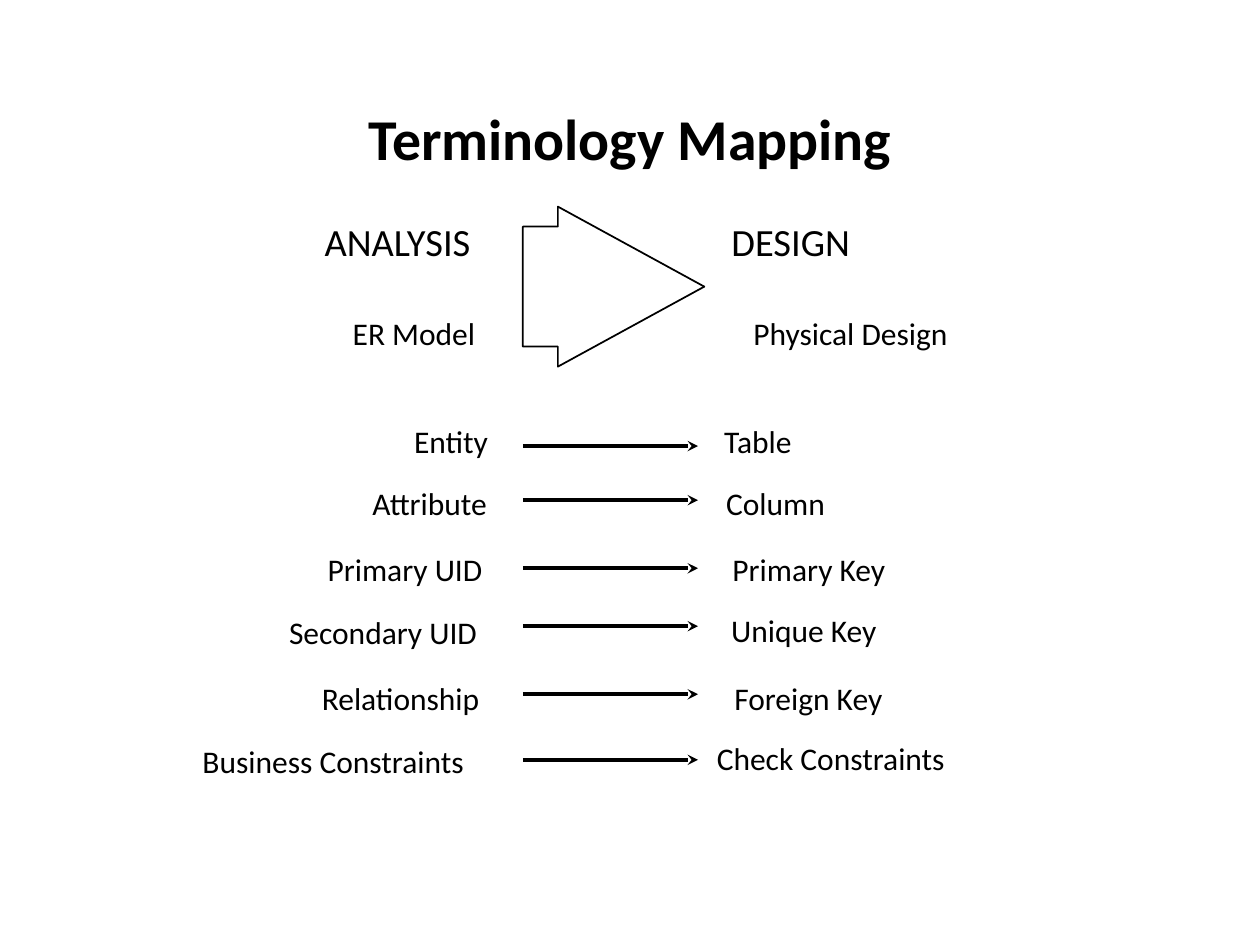
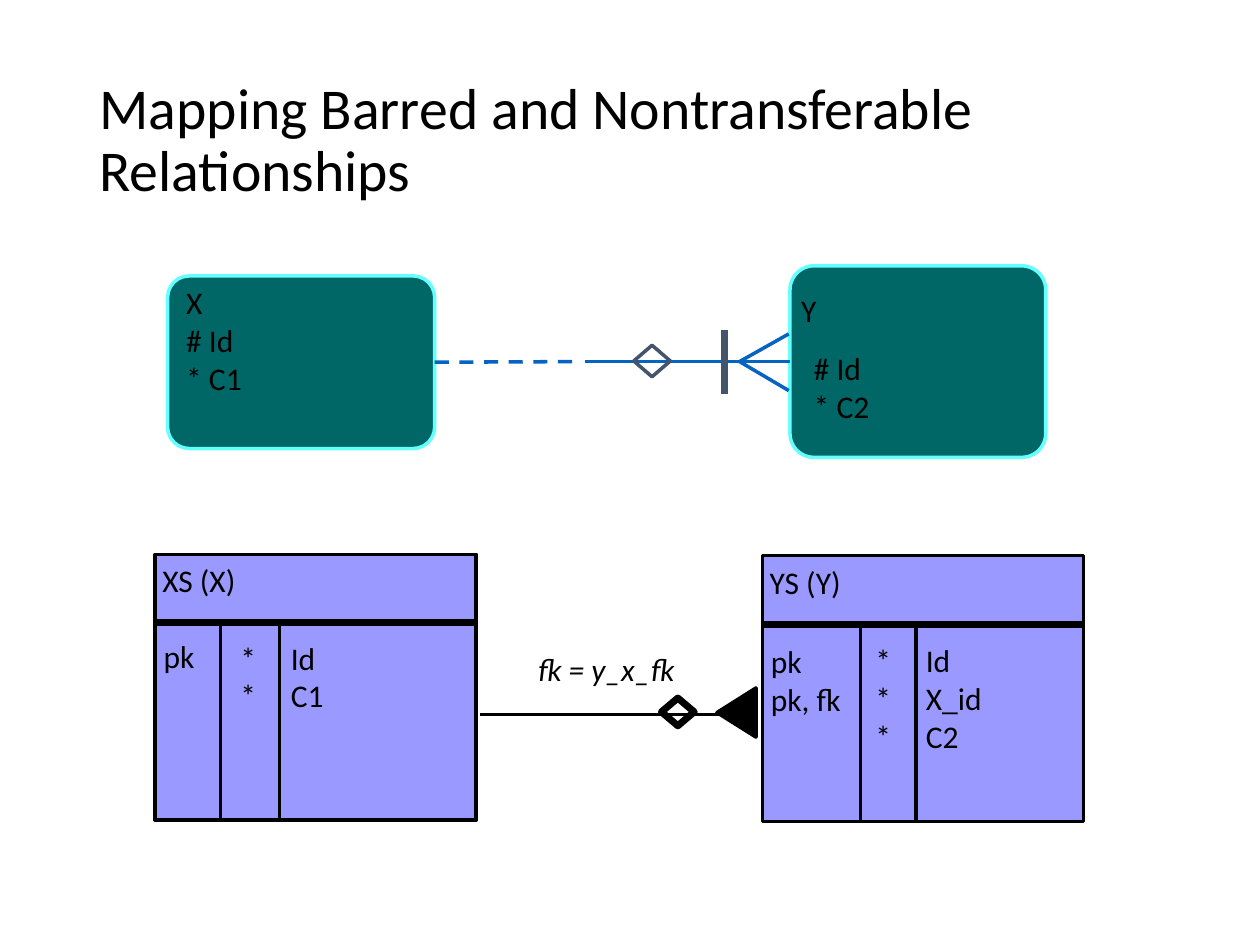
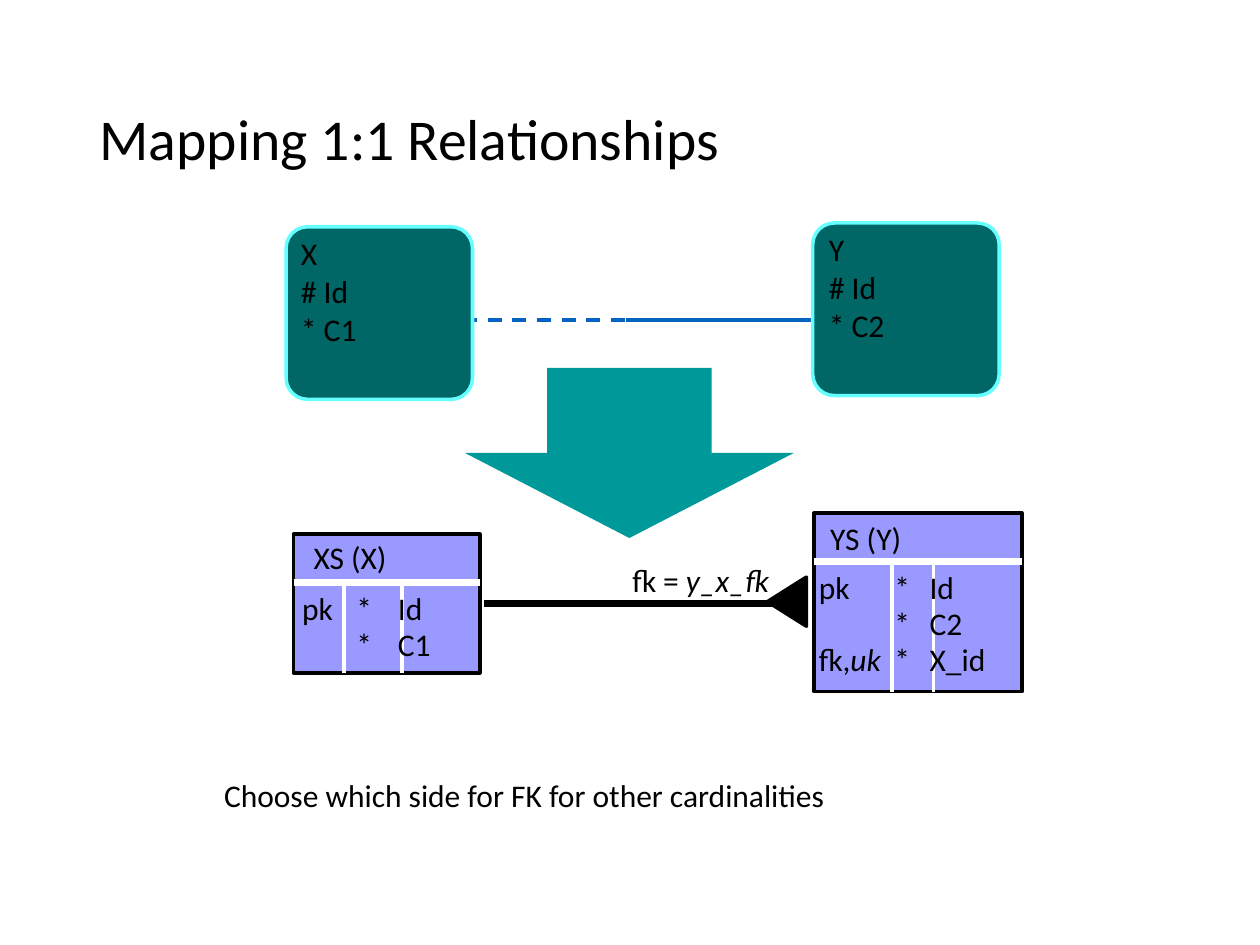
from dataclasses import dataclass

from lxml.etree import SubElement
from pptx import Presentation
from pptx.dml.color import RGBColor
from pptx.enum.dml import MSO_LINE
from pptx.enum.shapes import MSO_CONNECTOR, MSO_SHAPE
from pptx.enum.text import MSO_ANCHOR, MSO_AUTO_SIZE, PP_ALIGN
from pptx.oxml.ns import qn
from pptx.util import Pt

SCALE = 9144  # EMU per px, at 100 px to the inch
TITLE_ONLY = 5
LEFT, RIGHT = 1, 3  # connection sites


@dataclass(frozen=True)
class Theme:
    font: str = "Calibri"
    ink: str = "000000"
    white: str = "FFFFFF"
    entity_fill: str = "006666"
    entity_line: str = "66FFFF"
    table_fill: str = "9999FF"
    arrow_fill: str = "009999"
    relation: str = "0563C1"
    marker: str = "44546A"
    title_size: int = 33
    heading_size: int = 22
    body_size: int = 18
    thin: int = 1
    medium: int = 2
    thick: int = 4


def px(*lengths):
    return [length * SCALE for length in lengths]


def rgb(colour):
    return RGBColor.from_string(colour)


class Board:
    """Draws styled elements on the current slide."""

    def __init__(self, deck, theme):
        self.deck = deck
        self.theme = theme
        self.page = None

    def new_page(self, title, align=PP_ALIGN.LEFT, bold=False):
        self.page = self.deck.slides.add_slide(self.deck.slide_layouts[TITLE_ONLY])
        box = self.page.shapes.title
        box.left, box.top, box.width, box.height = px(69, 40, 862, 145)
        box.text_frame.text = title
        box.text_frame.vertical_anchor = MSO_ANCHOR.MIDDLE
        para = box.text_frame.paragraphs[0]
        para.line_spacing = 0.9
        self.format_para(para, align, self.theme.title_size, bold)

    def format_para(self, para, align, size, bold=False):
        para.alignment = align
        for span in para.runs:
            span.font.name = self.theme.font
            span.font.size = Pt(size)
            span.font.bold = bold
            span.font.color.rgb = rgb(self.theme.ink)

    def text(self, frame, *spans, align=PP_ALIGN.LEFT, size=None, spacing=None, tabs=()):
        """Every second span is italic."""
        box = self.page.shapes.add_textbox(*px(*frame))
        box.text_frame.word_wrap = True
        box.text_frame.auto_size = MSO_AUTO_SIZE.SHAPE_TO_FIT_TEXT
        para = box.text_frame.paragraphs[0]
        para.text = spans[0]
        for index, words in enumerate(spans[1:], 1):
            span = para.add_run()
            span.text = words
            span.font.italic = index % 2 == 1
        self.format_para(para, align, size or self.theme.body_size)
        if spacing:
            para.line_spacing = spacing
        if tabs:
            stops = SubElement(para._p.get_or_add_pPr(), qn("a:tabLst"))
            for position in tabs:
                SubElement(stops, qn("a:tab"), pos=str(position * SCALE), algn="l")

    def shape(self, kind, frame, fill=None, line=None, width=None, adjust=(), rotation=0):
        shape = self.page.shapes.add_shape(kind, *px(*frame))
        shape.shadow.inherit = False
        shape.rotation = rotation
        for index, value in enumerate(adjust):
            shape.adjustments[index] = value
        if fill:
            shape.fill.solid()
            shape.fill.fore_color.rgb = rgb(fill)
        else:
            shape.fill.background()
        if line:
            shape.line.color.rgb = rgb(line)
            shape.line.width = Pt(width or self.theme.medium)
        else:
            shape.line.fill.background()
        return shape

    def line(self, start, end, colour=None, width=None, dashed=False, arrow=False):
        connector = self.page.shapes.add_connector(
            MSO_CONNECTOR.STRAIGHT, *px(*start, *end))
        connector.line.color.rgb = rgb(colour or self.theme.ink)
        connector.line.width = Pt(width or self.theme.medium)
        if dashed:
            connector.line.dash_style = MSO_LINE.DASH
        if arrow:
            SubElement(connector.line._get_or_add_ln(), qn("a:tailEnd"), type="stealth")
        SubElement(connector._element.spPr, qn("a:effectLst"))
        return connector

    def entity(self, frame):
        return self.shape(MSO_SHAPE.ROUNDED_RECTANGLE, frame, self.theme.entity_fill,
                          self.theme.entity_line, adjust=[0.125])

    def table_symbol(self, frame, rule_y, dividers, rule_colour):
        """A box with a heading rule and column dividers below it."""
        left, top, width, height = frame
        self.shape(MSO_SHAPE.RECTANGLE, frame, self.theme.table_fill, self.theme.ink)
        self.line((left, rule_y), (left + width, rule_y), rule_colour, self.theme.thick)
        for x in dividers:
            self.line((x, rule_y + 1), (x, top + height), rule_colour)

    def many_end(self, left, top):
        self.shape(MSO_SHAPE.ISOSCELES_TRIANGLE, (left, top, 39, 31),
                   self.theme.ink, self.theme.ink, rotation=270)


def terminology_page(board):
    theme = board.theme
    centre = PP_ALIGN.CENTER
    board.new_page("Terminology Mapping", centre, bold=True)
    board.shape(MSO_SHAPE.RIGHT_ARROW, (415, 164, 144, 127), line=theme.ink,
                width=theme.thin, adjust=[0.75, 0.915])

    # Headings of the two sides
    board.text((228, 168, 175, 47), "ANALYSIS", align=centre, size=theme.heading_size)
    board.text((559, 168, 137, 47), "DESIGN", align=centre, size=theme.heading_size)
    board.text((269, 244, 119, 40), "ER Model", align=centre)
    board.text((587, 244, 176, 40), "Physical Design", align=centre)

    # Term, width, top; matching term, width, top; arrow height
    mappings = [
        ("Entity", 90, 330, "Table", 85, 330, 354),
        ("Attribute", 124, 379, "Column", 113, 379, 397),
        ("Primary UID", 163, 432, "Primary Key", 166, 432, 451),
        ("Secondary UID", 198, 482, "Unique Key", 158, 480, 497),
        ("Relationship", 170, 534, "Foreign Key", 165, 534, 551),
        ("Business Constraints", 277, 584, "Check Constraints", 241, 582, 603),
    ]
    for term, width, top, match, match_width, match_top, arrow_y in mappings:
        board.text((403 - width, top, width, 40), term, align=centre)
        last = match == "Check Constraints"
        board.text((559, match_top, match_width, 40), match,
                   align=PP_ALIGN.LEFT if last else centre)
        board.line((415, arrow_y), (554, arrow_y), arrow=True)


def barred_page(board):
    theme = board.theme
    board.new_page("Mapping Barred and Nontransferable Relationships")

    # Entities
    entity_x = board.entity((133, 219, 212, 137))
    entity_y = board.entity((627, 211, 203, 152))
    board.text((138, 220, 97, 100), "X\n# Id\n* C1")
    board.text((626, 226, 37, 40), "Y")
    board.text((636, 272, 69, 70), "# Id\n* C2")

    # Barred relationship
    optional = board.line((346, 287), (461, 287), theme.relation, dashed=True)
    optional.begin_connect(entity_x, RIGHT)
    mandatory = board.line((464, 287), (626, 287), theme.relation)
    mandatory.end_connect(entity_y, LEFT)
    for foot_y in (310, 265):
        board.line((587, 287), (626, foot_y), theme.relation)
    board.line((575, 262), (575, 313), theme.marker, theme.thick)
    board.shape(MSO_SHAPE.DIAMOND, (503, 274, 29, 25), line=theme.marker)

    # Tables
    board.table_symbol((123, 440, 255, 211), 494, (175, 222), theme.ink)
    board.text((119, 440, 276, 40), "XS (X)")
    board.text((120, 501, 122, 70), "pk")
    board.text((181, 502, 153, 70), "*\tId\n*\tC1", tabs=[40])
    board.table_symbol((605, 441, 255, 211), 496, (683, 727), theme.ink)
    board.text((601, 442, 276, 40), "YS (Y)")
    board.text((602, 505, 122, 70), "pk\npk, fk")
    board.text((685, 504, 153, 100), "*\tId\n*\tX_id\n*\tC2", tabs=[40])

    # Foreign key
    board.text((417, 511, 215, 40), "", "fk = y_x_fk")
    board.many_end(565, 550)
    board.line((583, 567), (381, 567))
    board.shape(MSO_SHAPE.DIAMOND, (525, 554, 26, 22), line=theme.ink, width=theme.thick)


def one_to_one_page(board):
    theme = board.theme
    tight = 0.95
    board.new_page("Mapping 1:1 Relationships")

    # Entities and their relationship
    board.line((496, 254), (374, 254), theme.relation, dashed=True)
    board.line((497, 254), (644, 254), theme.relation)
    board.entity((227, 180, 148, 137))
    board.text((229, 181, 148, 100), "X\n# Id\n* C1")
    board.entity((645, 177, 148, 137))
    board.text((648, 178, 148, 100), "Y\n# Id\n* C2")
    board.shape(MSO_SHAPE.DOWN_ARROW, (369, 292, 261, 135), theme.arrow_fill,
                adjust=[0.5, 0.5])

    # Tables
    board.table_symbol((233, 424, 148, 110), 462, (273, 319), theme.white)
    board.text((239, 424, 94, 39), "XS (X)", spacing=tight)
    board.text((230, 465, 138, 67), "pk\t*\tId\n\t*\tC1", spacing=tight, tabs=[43, 76])
    board.table_symbol((646, 407, 165, 142), 446, (708, 741), theme.white)
    board.text((649, 409, 94, 39), "YS (Y)", spacing=tight)
    board.text((640, 448, 176, 95), "pk\t*\tId\n\t*\tC2\nfk,", "uk", "\t*\tX_id",
               spacing=tight, tabs=[60, 88])

    # Foreign key
    board.line((384, 479), (632, 479), width=theme.thick)
    board.many_end(605, 462)
    board.text((405, 440, 215, 40), "fk =", " y_x_fk", align=PP_ALIGN.RIGHT)
    board.text((168, 613, 597, 39), "Choose which side for FK for other cardinalities",
               spacing=tight)


def main():
    deck = Presentation()
    deck.slide_width, deck.slide_height = px(1000, 750)
    board = Board(deck, Theme())
    terminology_page(board)
    barred_page(board)
    one_to_one_page(board)
    deck.save("out.pptx")


if __name__ == "__main__":
    main()
